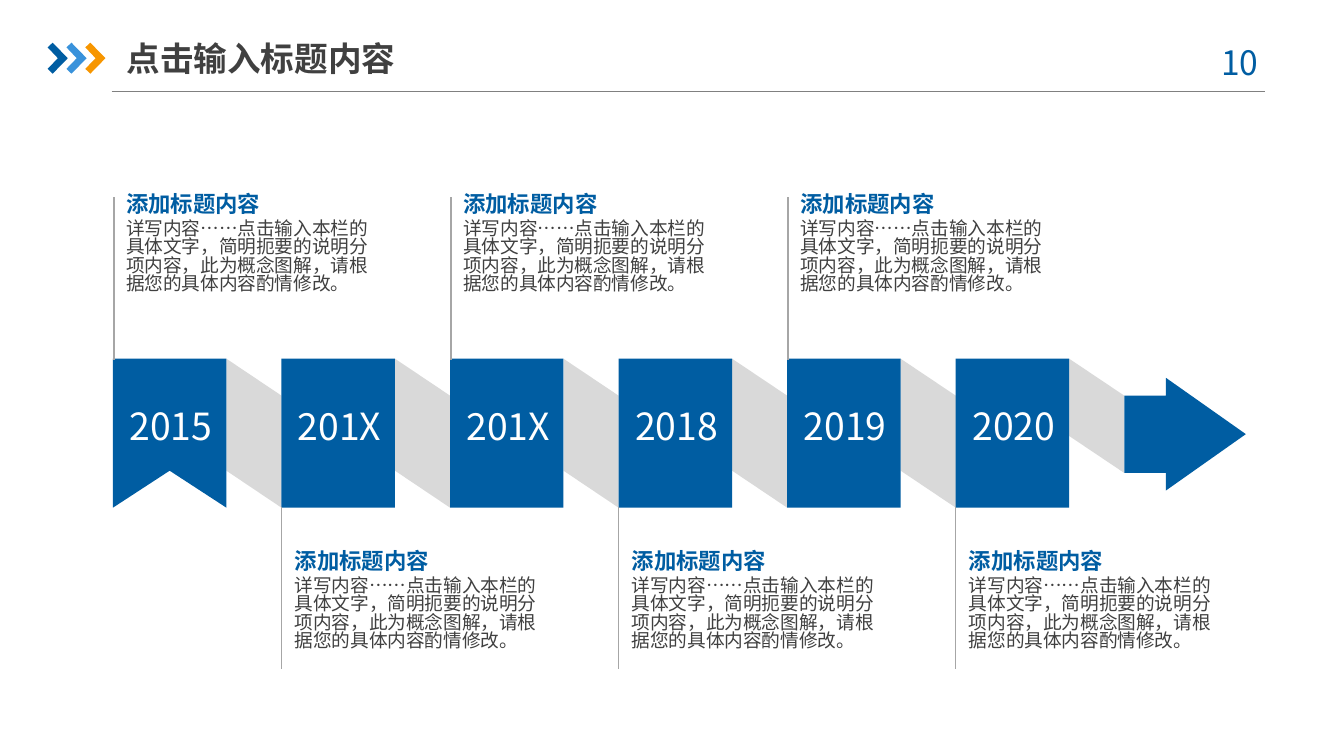
from dataclasses import dataclass
from typing import Sequence

from lxml.etree import SubElement
from pptx import Presentation
from pptx.dml.color import RGBColor
from pptx.enum.shapes import MSO_CONNECTOR, MSO_SHAPE
from pptx.enum.text import MSO_ANCHOR, MSO_AUTO_SIZE, PP_ALIGN
from pptx.oxml.ns import qn
from pptx.util import Pt


@dataclass(frozen=True)
class Theme:
    font: str = "Noto Sans CJK SC"
    blue: str = "005DA2"
    light_blue: str = "3992DB"
    orange: str = "F79600"
    ribbon: str = "D9D9D9"
    rule: str = "808080"
    stem: str = "A6A6A6"
    dark: str = "404040"
    white: str = "FFFFFF"
    title_size: float = 18
    year_size: float = 20
    heading_size: float = 12
    body_size: float = 10


@dataclass(frozen=True)
class Milestone:
    year: str
    heading: str = "添加标题内容"
    body: str = "详写内容……点击输入本栏的具体文字，简明扼要的说明分项内容，此为概念图解，请根据您的具体内容酌情修改。"


@dataclass(frozen=True)
class Area:
    left: float
    top: float
    width: float
    height: float


Point = tuple[float, float]

THEME = Theme()
MILESTONES = [Milestone(year) for year in ("2015", "201X", "201X", "2018", "2019", "2020")]
FIRST_LEFT, PITCH = 60.5, 90.3
PANEL_TOP, PANEL_WIDTH, PANEL_HEIGHT = 192.2, 60.8, 79.8
PANEL_BOTTOM = PANEL_TOP + PANEL_HEIGHT
FOLD = 19.8
STEM_LENGTH = 87
ARROW_LEFT = FIRST_LEFT + len(MILESTONES) * PITCH
ARROW_TOP, ARROW_BOTTOM = PANEL_TOP + FOLD, 253.4


def style(paragraph, size: float, color: str, bold: bool = False, align=PP_ALIGN.LEFT) -> None:
    paragraph.alignment = align
    font = paragraph.font
    font.size = Pt(size)
    font.bold = bold
    font.color.rgb = RGBColor.from_string(color)
    font.name = THEME.font
    properties = paragraph._p.pPr.find(qn("a:defRPr"))
    SubElement(properties, qn("a:ea")).set("typeface", THEME.font)


def place(shape, area: Area) -> None:
    shape.left, shape.top = Pt(area.left), Pt(area.top)
    shape.width, shape.height = Pt(area.width), Pt(area.height)


def add_box(page, area: Area, anchor=MSO_ANCHOR.TOP):
    box = page.shapes.add_textbox(Pt(area.left), Pt(area.top), Pt(area.width), Pt(area.height))
    box.text_frame.word_wrap = True
    box.text_frame.vertical_anchor = anchor
    return box.text_frame


def add_label(page, area: Area, text: str, size: float, color: str, anchor=MSO_ANCHOR.TOP) -> None:
    para = add_box(page, area, anchor).paragraphs[0]
    para.text = text
    style(para, size, color, align=PP_ALIGN.CENTER)


def paint(shape, color: str) -> None:
    shape.shadow.inherit = False
    shape.fill.solid()
    shape.fill.fore_color.rgb = RGBColor.from_string(color)
    shape.line.fill.background()


def add_polygon(page, points: Sequence[Point], color: str) -> None:
    corners = [(Pt(x), Pt(y)) for x, y in points]
    builder = page.shapes.build_freeform(*corners[0])
    builder.add_line_segments(corners[1:], close=True)
    paint(builder.convert_to_shape(), color)


def add_line(page, start: Point, end: Point, color: str) -> None:
    line = page.shapes.add_connector(
        MSO_CONNECTOR.STRAIGHT, Pt(start[0]), Pt(start[1]), Pt(end[0]), Pt(end[1])
    )
    line.line.color.rgb = RGBColor.from_string(color)
    line.line.width = Pt(0.75)
    SubElement(line._element.spPr, qn("a:effectLst"))


def add_header(page) -> None:
    title = page.shapes.title
    place(title, Area(67.8, 15.8, 167.8, 30.2))
    frame = title.text_frame
    frame.text = "点击输入标题内容"
    frame.auto_size = MSO_AUTO_SIZE.NONE
    frame.word_wrap = True
    frame.vertical_anchor = MSO_ANCHOR.MIDDLE
    frame.margin_left = frame.margin_right = 0
    style(frame.paragraphs[0], THEME.title_size, THEME.dark, bold=True)

    add_line(page, (59.8, 49.2), (677.5, 49.2), THEME.rule)
    for index, color in enumerate((THEME.blue, THEME.light_blue, THEME.orange)):
        left = 25.5 + index * 10.1
        outline = [(0, 25.4), (2.7, 22.9), (10.8, 31.2), (2.7, 39.5), (0, 36.9), (5.5, 31.2)]
        add_polygon(page, [(left + x, y) for x, y in outline], color)
    add_label(page, Area(637.9, 18.7, 52.6, 28.8), "10", THEME.title_size, THEME.blue)


def add_ribbon(page, index: int) -> None:
    right = FIRST_LEFT + (index + 1) * PITCH
    left = right - PITCH + PANEL_WIDTH
    lower = ARROW_BOTTOM if index == len(MILESTONES) - 1 else PANEL_BOTTOM
    add_polygon(
        page,
        [(left, PANEL_TOP), (right, PANEL_TOP + FOLD), (right, lower), (left, lower - FOLD)],
        THEME.ribbon,
    )


def add_panel(page, index: int, milestone: Milestone) -> None:
    left = FIRST_LEFT + index * PITCH
    right = left + PANEL_WIDTH
    if index == 0:
        notch = (left + PANEL_WIDTH / 2, PANEL_BOTTOM - FOLD)
        add_polygon(
            page,
            [(left, PANEL_TOP), (right, PANEL_TOP), (right, PANEL_BOTTOM), notch, (left, PANEL_BOTTOM)],
            THEME.blue,
        )
    else:
        panel = page.shapes.add_shape(
            MSO_SHAPE.RECTANGLE, Pt(left), Pt(PANEL_TOP), Pt(PANEL_WIDTH), Pt(PANEL_HEIGHT)
        )
        paint(panel, THEME.blue)
    area = Area(left - 6.7, 201.6, 75.6, 53.3)
    add_label(page, area, milestone.year, THEME.year_size, THEME.white, MSO_ANCHOR.MIDDLE)


def add_description(page, index: int, milestone: Milestone) -> None:
    left = FIRST_LEFT + index * PITCH
    above = index % 2 == 0
    frame = add_box(page, Area(left, 100.8 if above else 292.2, 151.2, 73.4))
    heading, body = frame.paragraphs[0], frame.add_paragraph()
    heading.text, body.text = milestone.heading, milestone.body
    heading.line_spacing = body.line_spacing = 0.82
    body.space_before = Pt(2)
    style(heading, THEME.heading_size, THEME.blue, bold=True)
    style(body, THEME.body_size, THEME.dark)
    stem = left + 0.5 if above else left
    start = PANEL_TOP + 0.5 - STEM_LENGTH if above else PANEL_BOTTOM - 0.5
    add_line(page, (stem, start), (stem, start + STEM_LENGTH), THEME.stem)


def add_arrow(page) -> None:
    neck, tip = ARROW_LEFT + 22.3, 667.4
    middle, half = 232.6, 30.2
    add_polygon(
        page,
        [
            (ARROW_LEFT, ARROW_TOP), (neck, ARROW_TOP), (neck, middle - half), (tip, middle),
            (neck, middle + half), (neck, ARROW_BOTTOM), (ARROW_LEFT, ARROW_BOTTOM),
        ],
        THEME.blue,
    )


def main() -> None:
    deck = Presentation()
    deck.slide_width, deck.slide_height = Pt(720), Pt(405)
    page = deck.slides.add_slide(deck.slide_layouts[5])
    add_header(page)
    for index in range(len(MILESTONES)):
        add_ribbon(page, index)
    add_arrow(page)
    for index, milestone in enumerate(MILESTONES):
        add_panel(page, index, milestone)
        add_description(page, index, milestone)
    deck.save("out.pptx")


if __name__ == "__main__":
    main()
